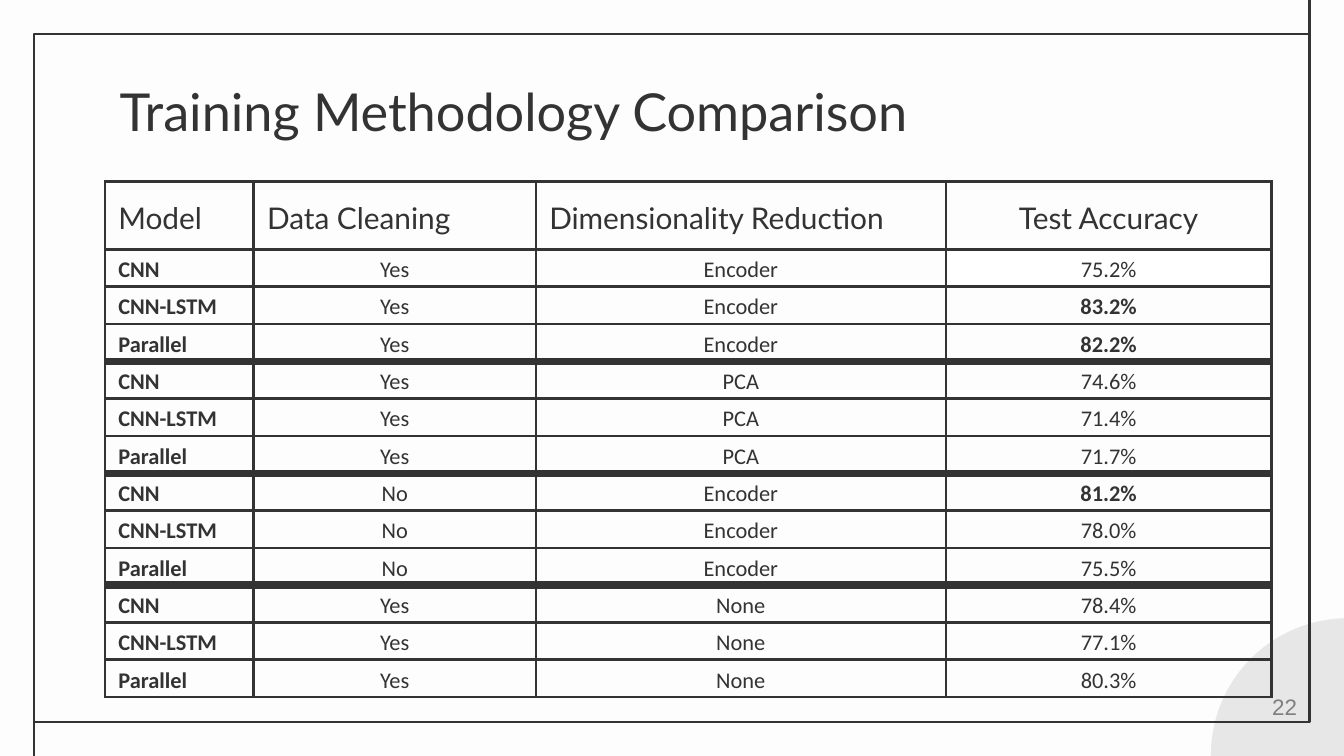
from dataclasses import dataclass

from lxml import etree
from pptx import Presentation
from pptx.dml.color import RGBColor
from pptx.enum.shapes import MSO_CONNECTOR, MSO_SHAPE
from pptx.enum.text import MSO_ANCHOR, MSO_AUTO_SIZE, PP_ALIGN
from pptx.oxml.ns import qn
from pptx.shapes.autoshape import Shape
from pptx.slide import Slide
from pptx.table import Table, _Cell
from pptx.text.text import TextFrame, _Paragraph
from pptx.util import Pt

LEFT, CENTER, RIGHT = PP_ALIGN.LEFT, PP_ALIGN.CENTER, PP_ALIGN.RIGHT
TOP, MIDDLE = MSO_ANCHOR.TOP, MSO_ANCHOR.MIDDLE
TITLE_ONLY = 5
SLIDE_W, SLIDE_H = 720, 405


@dataclass(frozen=True)
class TextStyle:
    font: str
    size: float
    color: str
    bold: bool = False


@dataclass(frozen=True)
class Theme:
    background: str = "FDFDFD"
    ink: str = "333333"
    corner: str = "E8E7E7"
    highlight: str = "FFFFFF"
    thin: float = 1.5
    thick: float = 4.5
    inset: float = 7.2
    line_spacing: float = 1.15
    title: TextStyle = TextStyle("Lato", 28, "333333")
    header: TextStyle = TextStyle("Lato", 16, "333333")
    body: TextStyle = TextStyle("Calibri", 12, "333333")
    strong: TextStyle = TextStyle("Calibri", 12, "333333", True)
    page: TextStyle = TextStyle("Arial", 12, "7F7F7F")


@dataclass(frozen=True)
class Box:
    left: float
    top: float
    width: float
    height: float

    def lengths(self) -> tuple[Pt, Pt, Pt, Pt]:
        return Pt(self.left), Pt(self.top), Pt(self.width), Pt(self.height)


@dataclass(frozen=True)
class Trial:
    """One training setup and the accuracy of each model in MODELS order."""
    cleaning: str
    reduction: str
    accuracies: tuple[str, str, str]


THEME = Theme()
MODELS = ("CNN", "CNN-LSTM", "Parallel")
HEADINGS = ("Model", "Data Cleaning", "Dimensionality Reduction", "Test Accuracy")
TRIALS = (
    Trial("Yes", "Encoder", ("75.2%", "83.2%", "82.2%")),
    Trial("Yes", "PCA", ("74.6%", "71.4%", "71.7%")),
    Trial("No", "Encoder", ("81.2%", "78.0%", "75.5%")),
    Trial("Yes", "None", ("78.4%", "77.1%", "80.3%")),
)
BEST = {"83.2%", "82.2%", "81.2%"}
HIGHLIGHTED = "75.2%"

FRAME = Box(18.2, 18.2, 683.3, 368.6)
CORNER = Box(648.7, 331.2, 146.9, 146.9)
TITLE = Box(56.9, 35.3, 607, 45.4)
RESULTS = Box(56.2, 97.2, 625, 275)
PAGE_NUMBER = Box(540, 367.9, 162, 21.6)
COLUMN_WIDTHS = (79.7, 151.2, 219.6, 174.5)
HEADER_HEIGHT, ROW_HEIGHT = 35, 20


def rgb(color: str) -> RGBColor:
    return RGBColor.from_string(color)


def format_paragraph(paragraph: _Paragraph, style: TextStyle, align: PP_ALIGN) -> None:
    paragraph.alignment = align
    for run in paragraph.runs:
        run.font.name = style.font
        run.font.size = Pt(style.size)
        run.font.bold = style.bold
        run.font.color.rgb = rgb(style.color)


def write(frame: TextFrame, text: str, style: TextStyle, align: PP_ALIGN,
          anchor: MSO_ANCHOR) -> None:
    frame.text = text
    frame.word_wrap = True
    frame.auto_size = MSO_AUTO_SIZE.NONE
    frame.vertical_anchor = anchor
    format_paragraph(frame.paragraphs[0], style, align)


def add_plain_shape(slide: Slide, kind: MSO_SHAPE, box: Box) -> Shape:
    shape = slide.shapes.add_shape(kind, *box.lengths())
    shape.shadow.inherit = False
    return shape


def add_vertical(slide: Slide, x: float, top: float, bottom: float) -> None:
    line = slide.shapes.add_connector(
        MSO_CONNECTOR.STRAIGHT, Pt(x), Pt(top), Pt(x), Pt(bottom))
    line.line.color.rgb = rgb(THEME.ink)
    line.line.width = Pt(THEME.thin)
    etree.SubElement(line._element.spPr, qn("a:effectLst"))


def draw_decoration(slide: Slide) -> None:
    corner = add_plain_shape(slide, MSO_SHAPE.OVAL, CORNER)
    corner.fill.solid()
    corner.fill.fore_color.rgb = rgb(THEME.corner)
    corner.line.fill.background()

    add_vertical(slide, FRAME.left + FRAME.width, 0, FRAME.top)
    add_vertical(slide, FRAME.left, FRAME.top + FRAME.height, SLIDE_H)
    border = add_plain_shape(slide, MSO_SHAPE.RECTANGLE, FRAME)
    border.fill.background()
    border.line.color.rgb = rgb(THEME.ink)
    border.line.width = Pt(THEME.thin)


def set_borders(cell: _Cell, top: float, bottom: float) -> None:
    """Line all four sides; must run before the cell gets its fill."""
    properties = cell._tc.get_or_add_tcPr()
    sides = {"L": THEME.thin, "R": THEME.thin, "T": top, "B": bottom}
    for side, width in sides.items():
        line = etree.SubElement(properties, qn(f"a:ln{side}"), w=str(Pt(width)))
        fill = etree.SubElement(line, qn("a:solidFill"))
        etree.SubElement(fill, qn("a:srgbClr"), val=THEME.ink)


def fill_cell(cell: _Cell, text: str, style: TextStyle, align: PP_ALIGN,
              inset_y: float, top: float, bottom: float) -> None:
    set_borders(cell, top, bottom)
    if text == HIGHLIGHTED:
        cell.fill.solid()
        cell.fill.fore_color.rgb = rgb(THEME.highlight)
    else:
        cell.fill.background()
    cell.vertical_anchor = MIDDLE
    cell.margin_left = cell.margin_right = Pt(THEME.inset)
    cell.margin_top = cell.margin_bottom = Pt(inset_y)
    cell.text = text
    paragraph = cell.text_frame.paragraphs[0]
    paragraph.line_spacing = THEME.line_spacing
    format_paragraph(paragraph, style, align)


def fill_results(table: Table) -> None:
    for column, heading in enumerate(HEADINGS):
        align = CENTER if column == len(HEADINGS) - 1 else LEFT
        fill_cell(table.cell(0, column), heading, THEME.header, align,
                  THEME.inset, THEME.thin, THEME.thin)
    for group, trial in enumerate(TRIALS):
        for place, (model, accuracy) in enumerate(zip(MODELS, trial.accuracies)):
            row = 1 + group * len(MODELS) + place
            opens_group = place == 0 and group > 0
            closes_group = place == len(MODELS) - 1 and group < len(TRIALS) - 1
            top = THEME.thick if opens_group else THEME.thin
            bottom = THEME.thick if closes_group else THEME.thin
            values = (model, trial.cleaning, trial.reduction, accuracy)
            for column, value in enumerate(values):
                strong = column == 0 or value in BEST
                fill_cell(table.cell(row, column), value,
                          THEME.strong if strong else THEME.body,
                          LEFT if column == 0 else CENTER, 0, top, bottom)


def add_results(slide: Slide) -> None:
    row_count = 1 + len(TRIALS) * len(MODELS)
    table = slide.shapes.add_table(
        row_count, len(HEADINGS), *RESULTS.lengths()).table
    table.first_row = table.horz_banding = False
    for column, width in zip(table.columns, COLUMN_WIDTHS):
        column.width = Pt(width)
    for index, row in enumerate(table.rows):
        row.height = Pt(ROW_HEIGHT if index else HEADER_HEIGHT)
    fill_results(table)


def main() -> None:
    deck = Presentation()
    deck.slide_width, deck.slide_height = Pt(SLIDE_W), Pt(SLIDE_H)
    slide = deck.slides.add_slide(deck.slide_layouts[TITLE_ONLY])
    slide.background.fill.solid()
    slide.background.fill.fore_color.rgb = rgb(THEME.background)
    draw_decoration(slide)

    title = slide.shapes.title
    title.left, title.top, title.width, title.height = TITLE.lengths()
    frame = title.text_frame
    frame.margin_left = frame.margin_right = Pt(THEME.inset)
    frame.margin_top = frame.margin_bottom = Pt(THEME.inset)
    write(frame, "Training Methodology Comparison", THEME.title, LEFT, TOP)

    add_results(slide)
    page_number = slide.shapes.add_textbox(*PAGE_NUMBER.lengths())
    write(page_number.text_frame, "22", THEME.page, RIGHT, MIDDLE)
    deck.save("out.pptx")


if __name__ == "__main__":
    main()
